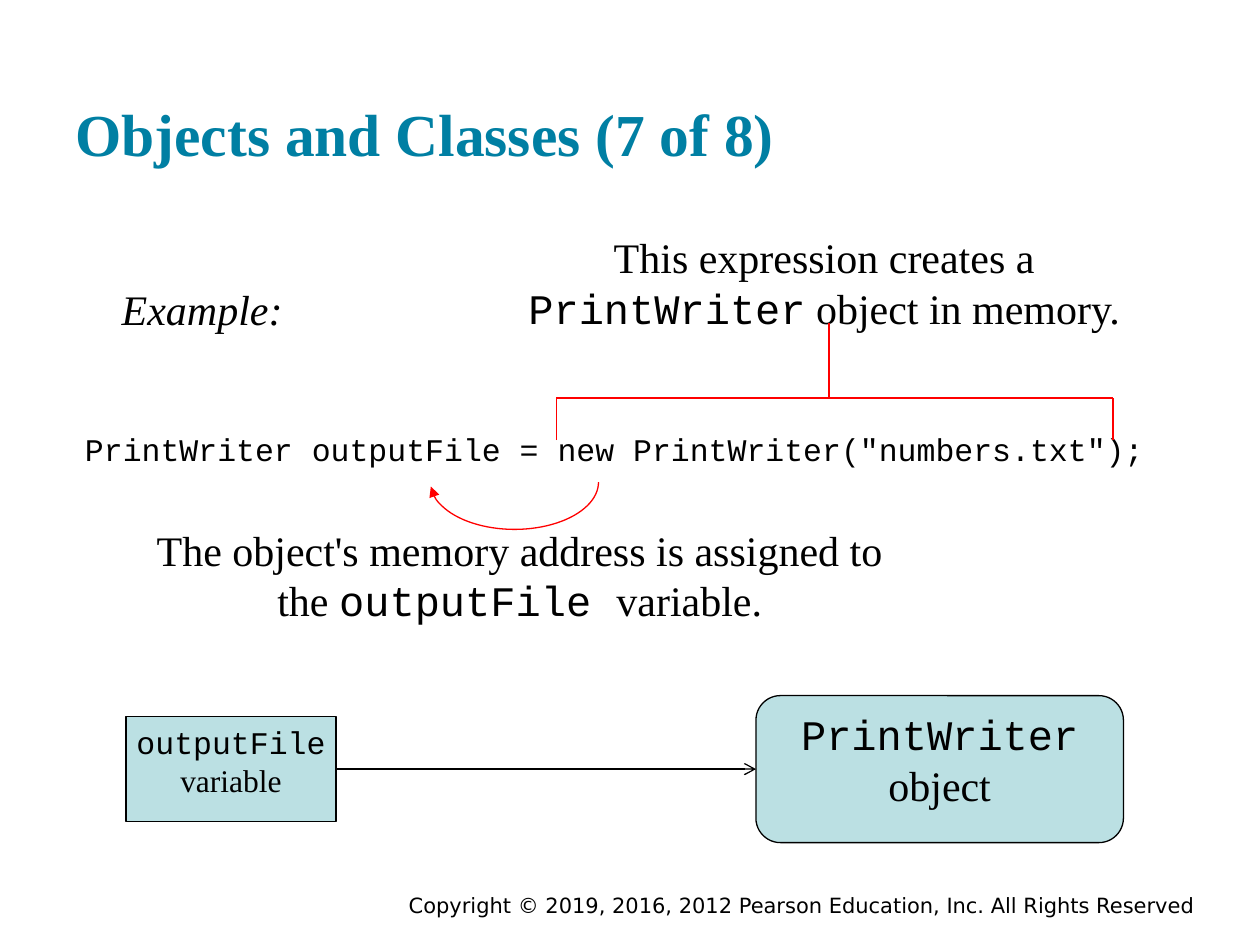
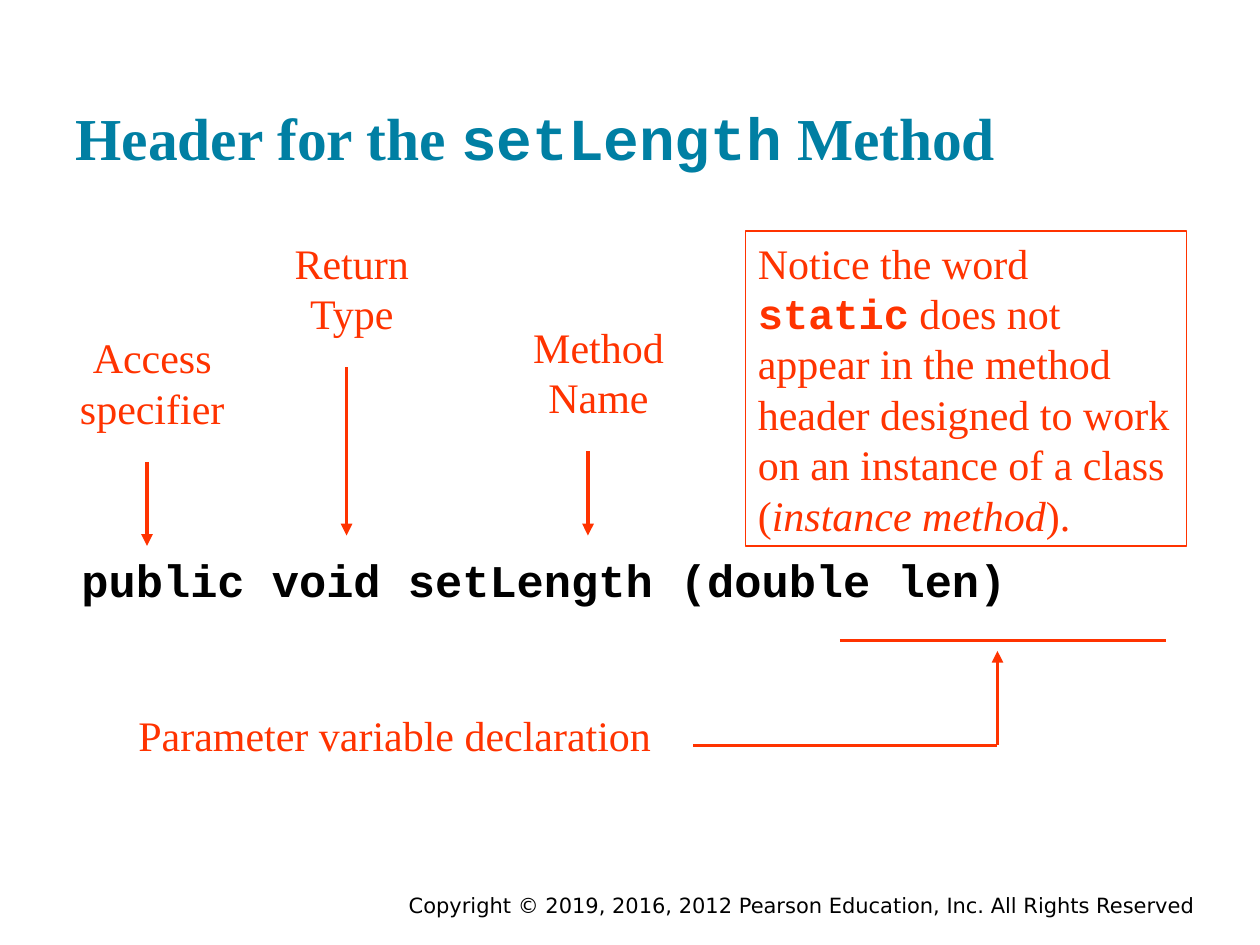
from lxml.etree import SubElement
from pptx import Presentation
from pptx.dml.color import RGBColor
from pptx.enum.shapes import MSO_CONNECTOR as Link, MSO_SHAPE as Kind
from pptx.enum.text import MSO_ANCHOR as Anchor, MSO_AUTO_SIZE as Fit, PP_ALIGN as Align
from pptx.oxml.ns import qn
from pptx.util import Pt

HUES = {"teal": "007FA3", "ink": "000000", "pale": "BBE0E3", "red": "FF0000", "flame": "FF3300"}
SERIF, MONO, SANS = "Times New Roman", "Courier New", "DejaVu Sans"
CODE = {"name": MONO}


def hue(name):
    return RGBColor.from_string(HUES[name])


def style(font, name=None, size=None, color=None, bold=None, italic=None):
    if name:
        font.name = name
    if size:
        font.size = Pt(size)
    if color:
        font.color.rgb = hue(color)
    if bold is not None:
        font.bold = bold
    if italic is not None:
        font.italic = italic


def write(para, parts, align=Align.CENTER, name=SERIF, size=24, color="ink", **more):
    para.alignment = align
    style(para.font, name, size, color, **more)
    for part in [parts] if isinstance(parts, str) else parts:
        text, look = (part, {}) if isinstance(part, str) else part
        run = para.add_run()
        run.text = text
        style(run.font, **look)
    return para


def label(slide, box, parts, **look):
    frame = slide.shapes.add_textbox(*map(Pt, box)).text_frame
    frame.word_wrap = True
    return write(frame.paragraphs[0], parts, **look)


def block(slide, kind, box, edge, fill=None, wrap=False):
    shape = slide.shapes.add_shape(kind, *map(Pt, box))
    shape.shadow.inherit = False
    if fill:
        shape.fill.solid()
        shape.fill.fore_color.rgb = hue(fill)
    else:
        shape.fill.background()
    shape.line.color.rgb = hue(edge)
    shape.line.width = Pt(0.75)
    shape.text_frame.vertical_anchor = Anchor.TOP
    shape.text_frame.word_wrap = wrap
    return shape


def tip(shape, head):
    SubElement(shape.element.spPr.find(qn("a:ln")), qn("a:tailEnd"), type=head)


def line(slide, start, end, color, width=0.75, head=None):
    wire = slide.shapes.add_connector(Link.STRAIGHT, *map(Pt, (*start, *end)))
    wire.line.color.rgb = hue(color)
    wire.line.width = Pt(width)
    if head:
        tip(wire, head)
    SubElement(wire.element.spPr, qn("a:effectLst"))
    return wire


def base(deck, parts, top):
    slide = deck.slides.add_slide(deck.slide_layouts[5])
    title = slide.shapes.title
    title.left, title.top, title.width, title.height = map(Pt, (36, top, 648, 86.4))
    frame = title.text_frame
    frame.auto_size = Fit.NONE
    frame.word_wrap = True
    frame.vertical_anchor = Anchor.BOTTOM
    frame.margin_left = frame.margin_right = frame.margin_top = frame.margin_bottom = Pt(7.2)
    write(frame.paragraphs[0], parts, Align.LEFT, size=34, color="teal", bold=True)
    label(slide, (126, 506.5, 564, 16),
          "Copyright © 2019, 2016, 2012 Pearson Education, Inc. All Rights Reserved",
          align=Align.RIGHT, name=SANS, size=12)
    return slide


def bracket(slide, box):
    x, y, w, h = box
    right, mid, stem = x + w, x + 155.75, 43
    for start, end in [((x, y + h), (x, y)), ((x, y), (right, y)),
                       ((right, y + h), (right, y)), ((mid, y - stem), (mid, y))]:
        line(slide, start, end, "red")


def swoop(slide, box):
    arc = block(slide, Kind.ARC, box, "red")
    arc.adjustments[0] = 0
    arc.adjustments[1] = 177 * 0.6
    tip(arc, "triangle")


def flow(slide, box):
    x, y, w, h = box
    ends = []
    for kind, wide, high, left, word, noun, size in [
            (Kind.RECTANGLE, 120, 60, x, "outputFile", "variable", 18),
            (Kind.ROUNDED_RECTANGLE, 210, h, x + w - 210, "PrintWriter", "object", 24)]:
        node = block(slide, kind, (left, y + (h - high) / 2, wide, high), "ink", "pale")
        frame = node.text_frame
        write(frame.paragraphs[0], word, name=MONO, size=size)
        write(frame.add_paragraph(), noun, size=size)
        ends.append(node)
    mid = y + h / 2
    wire = line(slide, (x + 120, mid), (x + w - 210, mid), "ink", head="arrow")
    wire.begin_connect(ends[0], 3)
    wire.end_connect(ends[1], 1)


def pointer(slide, box, text, spot, length):
    x, y, w, h = box
    label(slide, box, text, color="flame")
    top = y + h + 13
    line(slide, (x + spot, top), (x + spot, top + length), "flame", 2.25, "triangle")


def param(slide, box):
    x, y, w, h = box
    label(slide, (x, y + 36, 318, 36), "Parameter variable declaration",
          align=Align.LEFT, color="flame")
    turn, low = x + 498, y + h
    line(slide, (turn, low), (turn, y + 6), "flame", 2.25, "triangle")
    line(slide, (x + w - 186, y), (x + w, y), "flame", 2.25)
    line(slide, (x + 324, low), (turn, low), "flame", 2.25)


def notice(slide, box):
    frame = block(slide, Kind.RECTANGLE, box, "flame", wrap=True).text_frame
    write(frame.paragraphs[0],
          ["Notice the word ", ("static", {"name": MONO, "bold": True}),
           " does not appear in the method header designed to work on an instance of a class (",
           ("instance method", {"italic": True}), ")."],
          Align.LEFT, color="flame")


def objects(deck):
    slide = base(deck, "Objects and Classes (7 of 8)", 17)
    label(slide, (36, 242, 630, 29), 'PrintWriter outputFile = new PrintWriter("numbers.txt");',
          name=MONO, size=18)
    flow(slide, (72, 397.5, 570, 84))
    label(slide, (294, 129, 354, 65),
          ["This expression creates a ", ("PrintWriter", CODE), " object in memory."])
    bracket(slide, (318, 227.5, 318, 24))
    swoop(slide, (246, 248.5, 96, 54))
    label(slide, (78, 296, 438, 65),
          ["The object's memory address is assigned to the ", ("outputFile ", CODE), "variable."])
    label(slide, (50, 158.5, 131, 36), "Example:", italic=True)


def header(deck):
    slide = base(deck, ["Header for the ", ("setLength", CODE), " Method"], 19.5)
    code = label(slide, (39.5, 315.5, 648, 47), "public void setLength (double len)",
                 align=Align.LEFT, name=MONO, size=25.9, bold=True)
    code.line_spacing = 0.9
    for box, text, spot, length in [
            ((12, 186, 150, 65), "Access specifier", 72, 48),
            ((144, 132, 114, 65), "Return Type", 54, 96),
            ((294, 180, 96, 65), "Method Name", 42, 48)]:
        pointer(slide, box, text, spot, length)
    param(slide, (72, 366, 594, 60))
    notice(slide, (426, 132, 252, 180))


def main():
    deck = Presentation()
    deck.slide_width, deck.slide_height = Pt(720), Pt(540)
    objects(deck)
    header(deck)
    deck.save("out.pptx")


if __name__ == "__main__":
    main()
